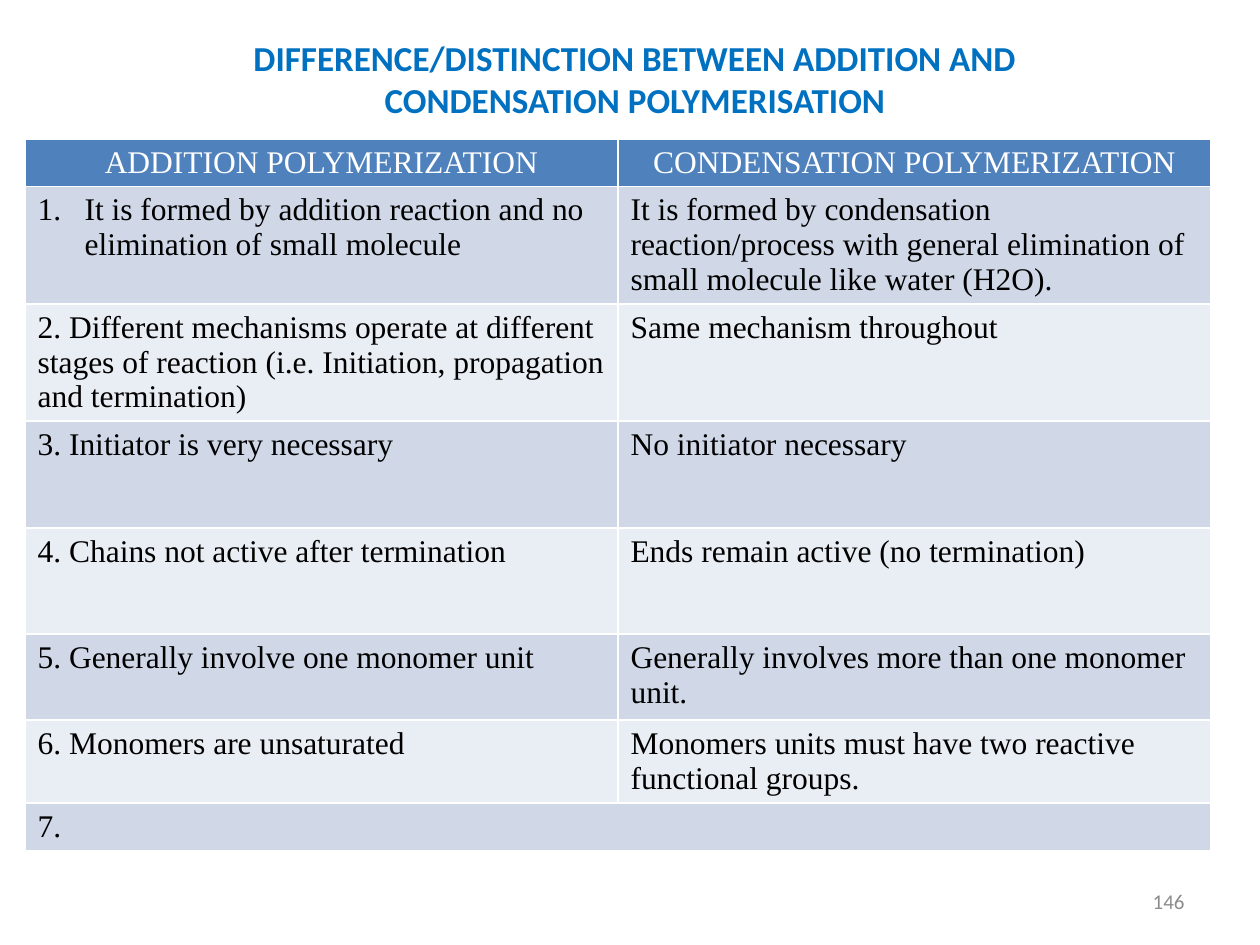
from lxml.etree import SubElement
from pptx import Presentation
from pptx.dml.color import RGBColor
from pptx.enum.text import MSO_ANCHOR, MSO_AUTO_SIZE, PP_ALIGN
from pptx.oxml.ns import qn
from pptx.util import Pt

TITLE = "DIFFERENCE/DISTINCTION BETWEEN ADDITION AND CONDENSATION POLYMERISATION"
NUMBER = "146"
HEADS = ("ADDITION POLYMERIZATION", "CONDENSATION POLYMERIZATION")
ROWS = [
    ("It is formed by addition reaction and no elimination of small molecule",
     "It is formed by condensation reaction/process with general elimination of small molecule like water (H2O)."),
    ("2. Different mechanisms operate at different stages of reaction (i.e. Initiation, propagation and termination)",
     "Same mechanism throughout"),
    ("3. Initiator is very necessary", "No initiator necessary"),
    ("4. Chains not active after termination", "Ends remain active (no termination)"),
    ("5. Generally involve one monomer unit", "Generally involves more than one monomer unit."),
    ("6. Monomers are unsaturated", "Monomers units must have two reactive functional groups."),
    ("7.", ""),
]
HEIGHTS = (47, 117, 117, 107, 106, 86, 83, 47)
BANDS = ("D0D8E8", "E9EDF4")
HEAD = "4F81BD"
WIDTH = 593
SCALE = 914400 // 126


def px(n):
    return n * SCALE


def color(code):
    return RGBColor.from_string(code)


def style(para, name, size, code, bold=False, align=None):
    para.alignment = align
    font = para.font
    font.name, font.size, font.bold = name, Pt(size), bold
    font.color.rgb = color(code)


def number(para, indent):
    props = para._p.get_or_add_pPr()
    props.set("marL", str(indent))
    props.set("indent", str(-indent))
    SubElement(props, qn("a:buFont"), typeface="+mj-lt")
    SubElement(props, qn("a:buAutoNum"), type="arabicPeriod")


def add_title(slide):
    title = slide.shapes.title
    title.left, title.top, title.width, title.height = map(px, (194, 26, 882, 101))
    frame = title.text_frame
    frame.text = TITLE
    frame.auto_size = MSO_AUTO_SIZE.NONE
    frame.vertical_anchor = MSO_ANCHOR.BOTTOM
    style(frame.paragraphs[0], "Calibri", 20, "0070C0", True, PP_ALIGN.CENTER)


def add_rows(slide):
    lines = [HEADS] + ROWS
    shape = slide.shapes.add_table(len(lines), 2, px(25), px(139), px(2 * WIDTH), px(sum(HEIGHTS)))
    table = shape.table
    for col in table.columns:
        col.width = px(WIDTH)
    for row, height in zip(table.rows, HEIGHTS):
        row.height = px(height)
    table.cell(len(ROWS), 0).merge(table.cell(len(ROWS), 1))
    for r, line in enumerate(lines):
        for c, text in enumerate(line):
            cell = table.cell(r, c)
            cell.fill.solid()
            cell.fill.fore_color.rgb = color(BANDS[(r - 1) % 2] if r else HEAD)
            if cell.is_spanned:
                continue
            cell.text = text
            para = cell.text_frame.paragraphs[0]
            if (r, c) == (1, 0):
                number(para, px(47))
            style(para, "Times New Roman", 18, "000000" if r else "FFFFFF",
                  align=PP_ALIGN.LEFT if r else PP_ALIGN.CENTER)


def add_number(slide):
    frame = slide.shapes.add_textbox(*map(px, (903, 876, 294, 50))).text_frame
    frame.word_wrap = True
    frame.vertical_anchor = MSO_ANCHOR.MIDDLE
    frame.text = NUMBER
    style(frame.paragraphs[0], "Calibri", 12, "8C8C8C", align=PP_ALIGN.RIGHT)


def main():
    deck = Presentation()
    deck.slide_width, deck.slide_height = px(1260), px(945)
    slide = deck.slides.add_slide(deck.slide_layouts[5])
    add_title(slide)
    add_rows(slide)
    add_number(slide)
    deck.save("out.pptx")


if __name__ == "__main__":
    main()
